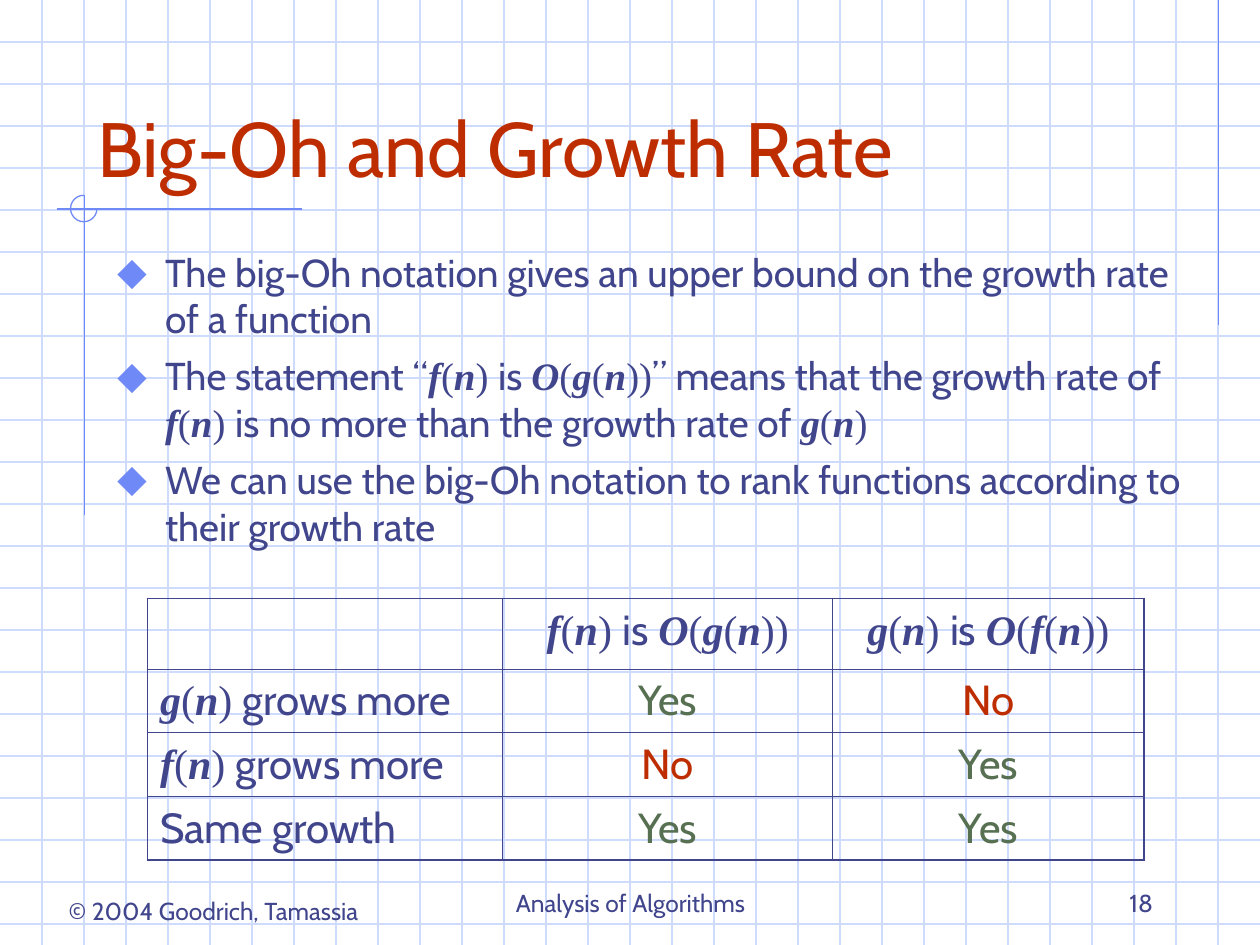
from itertools import groupby

from pptx import Presentation
from pptx import util as u
from pptx.dml.color import RGBColor
from pptx.enum import shapes, text
from pptx.oxml import parse_xml
from pptx.oxml.ns import nsdecls

INK, RED, GREEN = "40458C", "BE2D00", "577052"
ACCENT, GRID = "6F89F7", "CFDBFD"
LEFT, CENTER, RIGHT = text.PP_ALIGN.LEFT, text.PP_ALIGN.CENTER, text.PP_ALIGN.RIGHT
TOP, BOTTOM = text.MSO_ANCHOR.TOP, text.MSO_ANCHOR.BOTTOM

# Text between dollar signs is a formula.
BULLETS = [
    "The big-Oh notation gives an upper bound on the growth rate of a function",
    "The statement “$f(n) $is $O(g(n))$” means that the growth rate of "
    "$f(n) $is no more than the growth rate of $g(n)$",
    "We can use the big-Oh notation to rank functions according to their growth rate",
]
GROWTH_ROWS = [
    ["", "$f(n) $is $O(g(n))$", "$g(n) $is $O(f(n))$"],
    ["$g(n) $grows more", "Yes", "No"],
    ["$f(n) $grows more", "No", "Yes"],
    ["Same growth", "Yes", "Yes"],
]
ANSWER_COLORS = {"Yes": GREEN, "No": RED}


def rgb(color):
    return RGBColor.from_string(color)


def element(xml):
    """Parse one DrawingML element, adding the namespace to its root tag."""
    tag_end = min(i for i in (xml.find(" "), xml.find(">"), xml.find("/>")) if i > 0)
    return parse_xml(f"{xml[:tag_end]} {nsdecls('a')}{xml[tag_end:]}")


class Deck:
    """Holds the style and the current slide."""

    body_font, math_font = "Cabin", "Times New Roman"

    def __init__(self):
        self.prs = Presentation()
        self.prs.slide_width, self.prs.slide_height = u.Inches(10), u.Inches(7.5)
        self.slide = self.prs.slides.add_slide(self.prs.slide_layouts[1])

    def line(self, x1, y1, x2, y2, color):
        rule = self.slide.shapes.add_connector(
            shapes.MSO_CONNECTOR.STRAIGHT, *map(u.Inches, (x1, y1, x2, y2)))
        rule.line.color.rgb = rgb(color)
        rule.line.width = u.Pt(0.75)
        rule._element.spPr.append(element("<a:effectLst/>"))

    def open_circle(self, x, y, size):
        """Three quarters of a circle, open at the upper right."""
        ring = self.slide.shapes.add_shape(
            shapes.MSO_SHAPE.ARC, *map(u.Inches, (x, y, size, size)))
        ring.adjustments[0] = 0
        ring.adjustments[1] = 270 * 60000 / 100000
        ring.shadow.inherit = False
        ring.fill.background()
        ring.line.color.rgb = rgb(ACCENT)
        ring.line.width = u.Pt(0.75)

    def add_run(self, para, words, size, color, font, strong=False):
        run = para.add_run()
        run.text = words
        run.font.name, run.font.size = font, u.Pt(size)
        run.font.color.rgb = rgb(color)
        run.font.bold = run.font.italic = strong

    def fill_paragraph(self, para, marked, size, color=INK, align=LEFT, before=0):
        """Add the marked text run by run; formula letters become bold italic."""
        para.alignment, para.space_before = align, u.Pt(before)
        for i, part in enumerate(marked.split("$")):
            if i % 2:
                for is_letter, chars in groupby(part, str.isalpha):
                    self.add_run(para, "".join(chars), size, color,
                                 self.math_font, is_letter)
            elif part:
                self.add_run(para, part, size, color, self.body_font)

    def placeholder(self, index, box, anchor):
        """Place a template placeholder in front of what is drawn so far."""
        holder = self.slide.placeholders[index]
        holder.left, holder.top, holder.width, holder.height = map(u.Inches, box)
        frame = holder.text_frame
        frame.auto_size, frame.vertical_anchor = text.MSO_AUTO_SIZE.NONE, anchor
        self.slide.shapes._spTree.append(holder._element)
        return frame

    def title(self, words, box):
        frame = self.placeholder(0, box, BOTTOM)
        self.fill_paragraph(frame.paragraphs[0], words, 44, RED)

    def bullets(self, items, box):
        frame = self.placeholder(1, box, TOP)
        for i, item in enumerate(items):
            para = frame.add_paragraph() if i else frame.paragraphs[0]
            self.fill_paragraph(para, item, 22.2, before=6)
            props = para._p.get_or_add_pPr()
            props.set("marL", str(u.Inches(0.38)))
            props.set("indent", str(-u.Inches(0.38)))
            for xml in (f'<a:buClr><a:srgbClr val="{ACCENT}"/></a:buClr>',
                        '<a:buSzPct val="110000"/>',
                        '<a:buChar char="⬥"/>'):
                props.append(element(xml))

    def text_box(self, words, box, align, anchor=BOTTOM, wrap=True):
        frame = self.slide.shapes.add_textbox(*map(u.Inches, box)).text_frame
        frame.word_wrap, frame.vertical_anchor = wrap, anchor
        self.fill_paragraph(frame.paragraphs[0], words, 14, align=align)

    def borders(self, cell, outer):
        """Draw all four sides, thicker on the sides named in outer."""
        props = cell._tc.get_or_add_tcPr()
        for side in "LRTB":
            width = u.Pt(1.08 if side in outer else 0.45)
            props.append(element(
                f'<a:ln{side} w="{width}"><a:solidFill><a:srgbClr val="{INK}"/>'
                f'</a:solidFill></a:ln{side}>'))

    def table(self, rows, box, widths, heights):
        grid = self.slide.shapes.add_table(
            len(rows), len(widths), *map(u.Inches, box)).table
        grid.first_row = grid.horz_banding = False
        for column, width in zip(grid.columns, widths):
            column.width = u.Inches(width)
        for r, (row, height) in enumerate(zip(rows, heights)):
            grid.rows[r].height = u.Inches(height)
            for c, words in enumerate(row):
                cell = grid.cell(r, c)
                edges = {"L": c == 0, "R": c == len(row) - 1,
                         "T": r == 0, "B": r == len(rows) - 1}
                self.borders(cell, [side for side, on in edges.items() if on])
                cell.fill.background()
                self.fill_paragraph(cell.text_frame.paragraphs[0], words, 24,
                                    ANSWER_COLORS.get(words, INK),
                                    CENTER if c else LEFT, before=6)


def main():
    deck = Deck()
    for i in range(1, 23):
        deck.line(0, i / 3, 10, i / 3, GRID)
    for i in range(1, 30):
        deck.line(i / 3, 0, i / 3, 7.5, GRID)
    deck.line(9.67, 0, 9.67, 2.58, ACCENT)
    deck.line(2.4, 1.66, 0.45, 1.66, ACCENT)
    deck.line(0.67, 1.55, 0.67, 4.09, ACCENT)
    deck.open_circle(0.56, 1.55, 0.21)

    deck.text_box("© 2004 Goodrich, Tamassia", (0.34, 7.06, 2.71, 0.34),
                  CENTER, TOP, wrap=False)
    deck.title("Big-Oh and Growth Rate", (0.67, 0.33, 8.5, 1.25))
    deck.bullets(BULLETS, (0.83, 1.92, 8.75, 2.83))
    deck.table(GROWTH_ROWS, (1.17, 4.75, 7.92, 2.07),
               (2.82, 2.62, 2.47), (0.56, 0.5, 0.5, 0.5))
    deck.text_box("Analysis of Algorithms", (3.42, 6.83, 3.17, 0.5), CENTER)
    deck.text_box("18", (7.17, 6.83, 2.08, 0.5), RIGHT)
    deck.prs.save("out.pptx")


if __name__ == "__main__":
    main()
